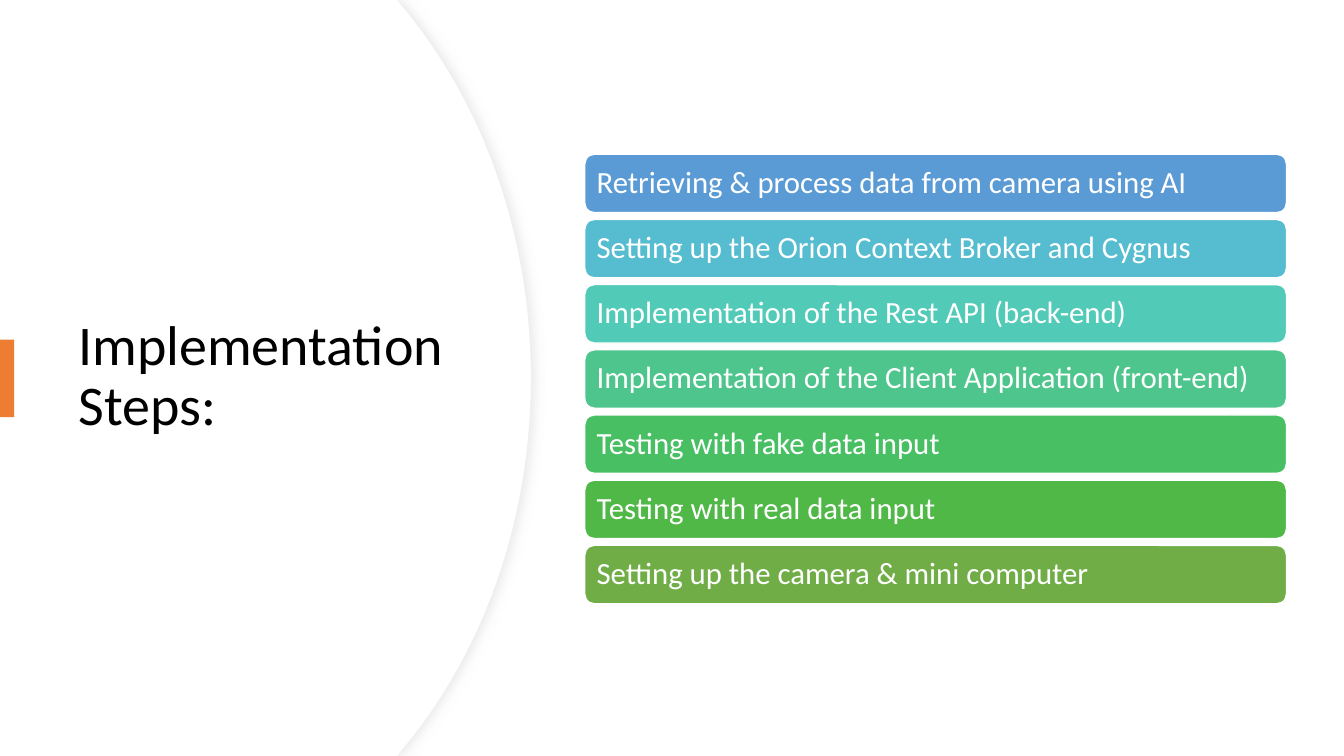
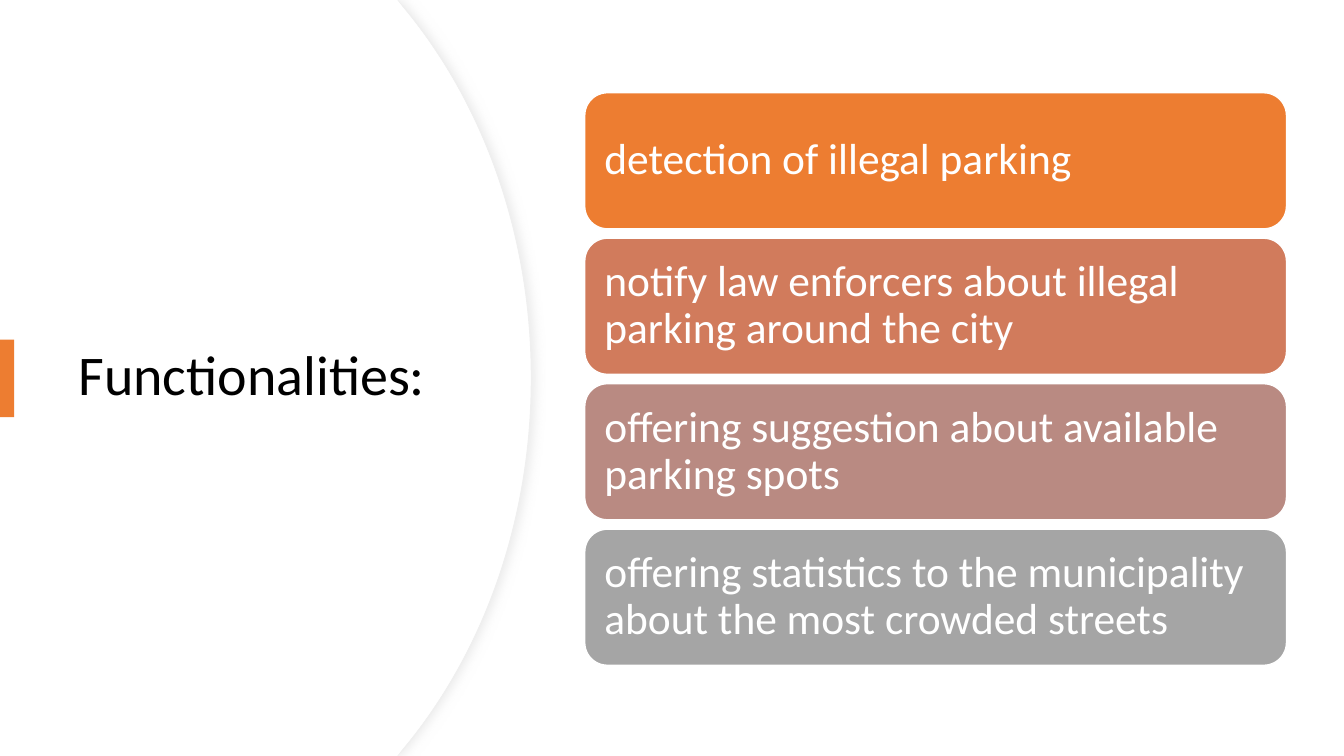
from dataclasses import dataclass

from lxml.etree import SubElement
from pptx import Presentation
from pptx.dml.color import RGBColor
from pptx.enum.shapes import MSO_SHAPE as Preset
from pptx.enum.text import MSO_ANCHOR as Anchor, PP_ALIGN as Align
from pptx.oxml.ns import qn
from pptx.util import Pt

EMU_PER_PX = 9144


@dataclass(frozen=True)
class Theme:
    """Colours, font and type sizes of the deck."""
    font: str = "Calibri"
    title_size: int = 40
    paper: str = "FFFFFF"
    ink: str = "000000"
    accent: str = "ED7D31"
    rim: str = "EFEFEF"
    shade: str = "D9D9D9"
    step_size: int = 22
    step_fills: tuple = ("5B9BD5", "56BCD0", "52CAB8", "4DC58D", "49BF64", "50B846", "70AD47")
    function_size: int = 31
    function_fills: tuple = ("ED7D31", "D17B5C", "B98A82", "A5A5A5")


@dataclass(frozen=True)
class Box:
    """A rectangle in px."""
    left: int
    top: int
    width: int
    height: int


THEME = Theme()
PAGE = Box(0, 0, 1333, 750)
DISC = Box(0, 0, 527, 750)
DISC_FACE = Box(0, 0, 526, 750)
TITLE = Box(68, 127, 394, 495)
TAB = Box(0, 337, 14, 77)
STEP_CARDS = Box(580, 153, 696, 446)
FUNCTION_CARDS = Box(580, 92, 696, 568)

STEPS = (
    "Retrieving & process data from camera using AI",
    "Setting up the Orion Context Broker and Cygnus",
    "Implementation of the Rest API (back-end)",
    "Implementation of the Client Application (front-end)",
    "Testing with fake data input",
    "Testing with real data input",
    "Setting up the camera & mini computer",
)
FUNCTIONS = (
    "detection of illegal parking",
    "notify law enforcers about illegal parking around the city",
    "offering suggestion about available parking spots",
    "offering statistics to the municipality about the most crowded streets",
)


def px(length):
    """Turn px into EMU."""
    return round(length * EMU_PER_PX)


def place(box):
    """Return the box as EMU arguments."""
    return px(box.left), px(box.top), px(box.width), px(box.height)


def paint(shape, fill, line=None, weight=1):
    """Give a shape a flat fill and an optional outline."""
    shape.shadow.inherit = False
    shape.fill.solid()
    shape.fill.fore_color.rgb = RGBColor.from_string(fill)
    if line:
        shape.line.color.rgb = RGBColor.from_string(line)
        shape.line.width = Pt(weight)
    else:
        shape.line.fill.background()


def write(shape, text, size, colour):
    """Set left-aligned, vertically centred, wrapping text."""
    frame = shape.text_frame
    frame.text = text
    frame.word_wrap = True
    frame.vertical_anchor = Anchor.MIDDLE
    paragraph = frame.paragraphs[0]
    paragraph.alignment = Align.LEFT
    paragraph.line_spacing = 0.9
    font = paragraph.runs[0].font
    font.name = THEME.font
    font.size = Pt(size)
    font.color.rgb = RGBColor.from_string(colour)


def bend(shape, first, last):
    """Turn groups of three line ends into cubic curves."""
    outline = shape.element.find(".//" + qn("a:path"))
    ends = outline.findall(qn("a:lnTo"))[first:last]
    for lead, middle, finish in zip(ends[::3], ends[1::3], ends[2::3]):
        lead.tag = qn("a:cubicBezTo")
        for end in (middle, finish):
            lead.append(end[0])
            outline.remove(end)


def add_disc(slide, box):
    """Draw a panel whose right side bulges out to the box edge."""
    left, top = box.left, box.top
    right, bottom = left + box.width, top + box.height
    middle = top + box.height / 2
    shoulder, pull, corner = right - 126, right - 48, left + 394
    points = (
        (corner, top), (shoulder, top + 8),
        (pull, top + 102), (right, top + 232), (right, middle),
        (right, bottom - 232), (pull, bottom - 102), (shoulder, bottom - 8),
        (corner, bottom), (left, bottom),
    )
    pen = slide.shapes.build_freeform(px(left), px(top))
    pen.add_line_segments([(px(x), px(y)) for x, y in points], close=True)
    disc = pen.convert_to_shape()
    bend(disc, 2, 8)
    return disc


def cast_shadow(shape, colour, opacity, blur, distance):
    """Add a soft shadow to the right of a shape."""
    effects = shape.element.spPr.find(qn("a:effectLst"))
    shadow = SubElement(effects, qn("a:outerShdw"), blurRad=str(Pt(blur)),
                        dist=str(Pt(distance)), dir="0", algn="l", rotWithShape="0")
    tint = SubElement(shadow, qn("a:srgbClr"), val=colour)
    SubElement(tint, qn("a:alpha"), val=str(opacity * 1000))


def add_title_panel(slide, title):
    """Draw the curved panel, the title and the accent tab."""
    rim = add_disc(slide, DISC)
    paint(rim, THEME.paper, THEME.rim, 0.75)
    cast_shadow(rim, THEME.shade, 50, 7, 3)
    paint(add_disc(slide, DISC_FACE), THEME.paper)
    write(slide.shapes.add_textbox(*place(TITLE)), title, THEME.title_size, THEME.ink)
    paint(slide.shapes.add_shape(Preset.RECTANGLE, *place(TAB)), THEME.accent)


def add_cards(slide, box, texts, fills, size, height, inset):
    """Stack equal rounded cards evenly from top to bottom of the box."""
    pitch = (box.height - height) / (len(texts) - 1)
    for row, (text, fill) in enumerate(zip(texts, fills)):
        area = Box(box.left, box.top + row * pitch, box.width, height)
        card = slide.shapes.add_shape(Preset.ROUNDED_RECTANGLE, *place(area))
        paint(card, fill, THEME.paper)
        write(card, text, size, THEME.paper)
        frame = card.text_frame
        frame.margin_left = frame.margin_right = px(inset)
        frame.margin_top = frame.margin_bottom = px(inset)


def add_list_slide(deck, title, *cards):
    """Add a slide with a title panel and a stack of cards."""
    slide = deck.slides.add_slide(deck.slide_layouts[6])
    add_title_panel(slide, title)
    add_cards(slide, *cards)


def main():
    """Build and save the deck."""
    deck = Presentation()
    deck.slide_width, deck.slide_height = px(PAGE.width), px(PAGE.height)
    add_list_slide(deck, "Implementation Steps:", STEP_CARDS, STEPS,
                   THEME.step_fills, THEME.step_size, 58, 9)
    add_list_slide(deck, "Functionalities:", FUNCTION_CARDS, FUNCTIONS,
                   THEME.function_fills, THEME.function_size, 135, 13)
    deck.save("out.pptx")


if __name__ == "__main__":
    main()
